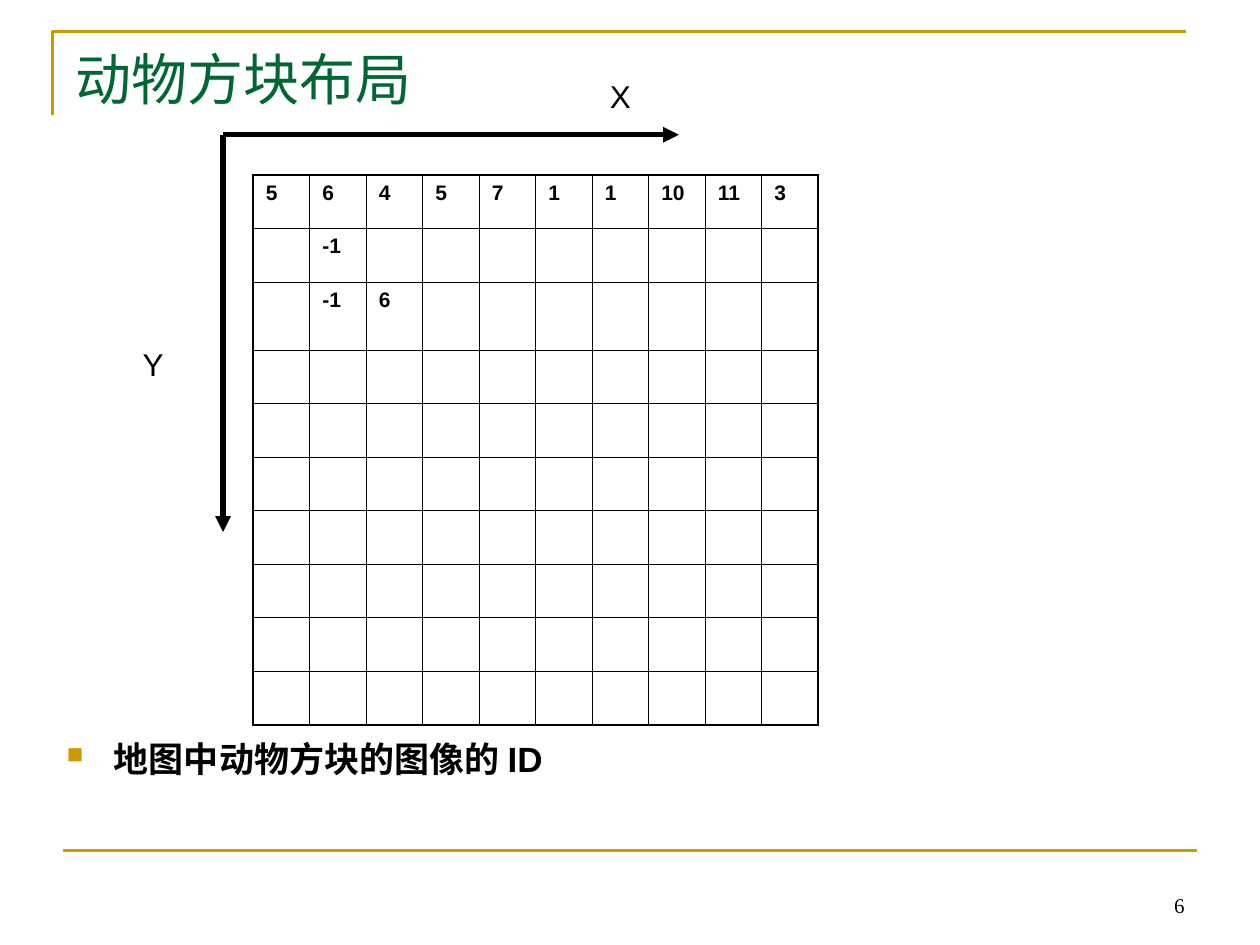
from lxml.etree import SubElement
from pptx import Presentation
from pptx.dml.color import RGBColor
from pptx.enum.shapes import MSO_CONNECTOR as Connector, MSO_SHAPE as Shape
from pptx.enum.text import MSO_ANCHOR as Anchor, MSO_AUTO_SIZE as AutoSize, PP_ALIGN as Align
from pptx.oxml.ns import qn
from pptx.util import Pt

BLACK, WHITE, GOLD, GREEN = "000000", "FFFFFF", "CC9900", "006633"


def color(value):
    return RGBColor.from_string(value)


class SlideBuilder:
    sans, serif = "Arial", "Times New Roman"
    thin, thick = 0.45, 1.08

    def __init__(self, slide):
        self.slide = slide
        self.shapes = slide.shapes

    def place(self, shape, left, top, width, height):
        shape.left, shape.top = Pt(left), Pt(top)
        shape.width, shape.height = Pt(width), Pt(height)

    def set_text(self, frame, text, size, font=sans, ink=BLACK, bold=False,
                 align=Align.LEFT, anchor=Anchor.TOP, wrap=True):
        frame.text = text
        frame.word_wrap = wrap
        frame.auto_size = AutoSize.NONE
        frame.vertical_anchor = anchor
        paragraph = frame.paragraphs[0]
        paragraph.alignment = align
        self.style(paragraph, size, font, ink, bold)
        return paragraph

    def style(self, paragraph, size, font, ink, bold):
        paragraph.font.size, paragraph.font.name = Pt(size), font
        paragraph.font.bold = bold
        paragraph.font.color.rgb = color(ink)

    def title(self, text, *box):
        title = self.shapes.title
        self.place(title, *box)
        self.set_text(title.text_frame, text, 32, self.serif, GREEN)

    def text(self, text, box, size, **options):
        shape = self.shapes.add_textbox(*map(Pt, box))
        return self.set_text(shape.text_frame, text, size, **options)

    def bullet(self, text, box):
        paragraph = self.text(text, box, 20, bold=True)
        paragraph.space_before = Pt(5)
        properties = paragraph._p.get_or_add_pPr()
        properties.set("marL", str(Pt(27)))
        properties.set("indent", str(-Pt(27)))
        # Bullet marks go before the default run properties
        defaults = properties.find(qn("a:defRPr"))
        bullet_color = SubElement(properties, qn("a:buClr"))
        SubElement(bullet_color, qn("a:srgbClr"), val=GOLD)
        SubElement(properties, qn("a:buSzPct"), val="65000")
        SubElement(properties, qn("a:buChar"), char="■")
        properties.append(defaults)

    def axis_label(self, text, left, top):
        label = self.shapes.add_shape(Shape.RECTANGLE, Pt(left), Pt(top), Pt(45), Pt(23))
        label.shadow.inherit = False
        label.fill.solid()
        label.fill.fore_color.rgb = color(WHITE)
        label.line.fill.background()
        self.set_text(label.text_frame, text, 18, align=Align.CENTER,
                      anchor=Anchor.MIDDLE, wrap=False)

    def line(self, start, end, ink, width, arrow=False):
        line = self.shapes.add_connector(Connector.STRAIGHT, *map(Pt, start + end))
        line.line.color.rgb = color(ink)
        line.line.width = Pt(width)
        properties = line._element.spPr
        if arrow:
            SubElement(properties.find(qn("a:ln")), qn("a:tailEnd"), type="triangle")
        SubElement(properties, qn("a:effectLst"))

    def outline(self, points, ink, width):
        builder = self.shapes.build_freeform(*map(Pt, points[0]))
        builder.add_line_segments([tuple(map(Pt, point)) for point in points[1:]], close=False)
        shape = builder.convert_to_shape()
        shape.shadow.inherit = False
        shape.fill.background()
        shape.line.color.rgb = color(ink)
        shape.line.width = Pt(width)

    def border(self, cell, side, width):
        line = SubElement(cell._tc.get_or_add_tcPr(), qn("a:ln" + side), w=str(Pt(width)))
        fill = SubElement(line, qn("a:solidFill"))
        SubElement(fill, qn("a:srgbClr"), val=BLACK)

    def grid(self, left, top, column_width, row_heights, values, columns):
        rows = len(row_heights)
        frame = self.shapes.add_table(rows, columns, Pt(left), Pt(top),
                                      Pt(column_width * columns), Pt(sum(row_heights)))
        table = frame.table
        table.first_row = table.horz_banding = False
        for column in table.columns:
            column.width = Pt(column_width)
        for r, height in enumerate(row_heights):
            table.rows[r].height = Pt(height)
            for c in range(columns):
                cell = table.cell(r, c)
                cell.text = values.get((r, c), "")
                paragraph = cell.text_frame.paragraphs[0]
                paragraph.space_before = Pt(3)
                self.style(paragraph, 12, self.sans, BLACK, True)
                edges = {"L": c == 0, "R": c == columns - 1, "T": r == 0, "B": r == rows - 1}
                for side, outer in edges.items():
                    self.border(cell, side, self.thick if outer else self.thin)
                cell.fill.background()


presentation = Presentation()
presentation.slide_width, presentation.slide_height = Pt(720), Pt(540)
builder = SlideBuilder(presentation.slides.add_slide(presentation.slide_layouts[5]))

# Frame lines and page number
builder.outline([(30, 66), (30, 18), (678, 18)], GOLD, 1.5)
builder.line((36, 486), (684, 486), GOLD, 1.5)
builder.text("6", (516, 492, 168, 36), 12, font=builder.serif,
             align=Align.RIGHT, anchor=Anchor.BOTTOM)

# Title and caption
builder.title("动物方块布局", 36, 21.6, 648, 55.4)
builder.bullet("地图中动物方块的图像的 ID", (31, 417.6, 648, 39.6))

# Map of block IDs, keyed by row and column
block_ids = {(0, x): value for x, value in enumerate("5 6 4 5 7 1 1 10 11 3".split())}
block_ids.update({(1, 1): "-1", (2, 1): "-1", (2, 2): "6"})
row_heights = [38.9 if row == 2 else 30.6 for row in range(10)]
builder.grid(144.7, 100, 32.3, row_heights, block_ids, columns=10)

# Axes
origin = (127.5, 77)
builder.axis_label("X", 332, 43.5)
builder.line(origin, (388, 77), BLACK, 3, arrow=True)
builder.line(origin, (127.5, 304), BLACK, 3, arrow=True)
builder.axis_label("Y", 65, 196.5)

presentation.save("out.pptx")
